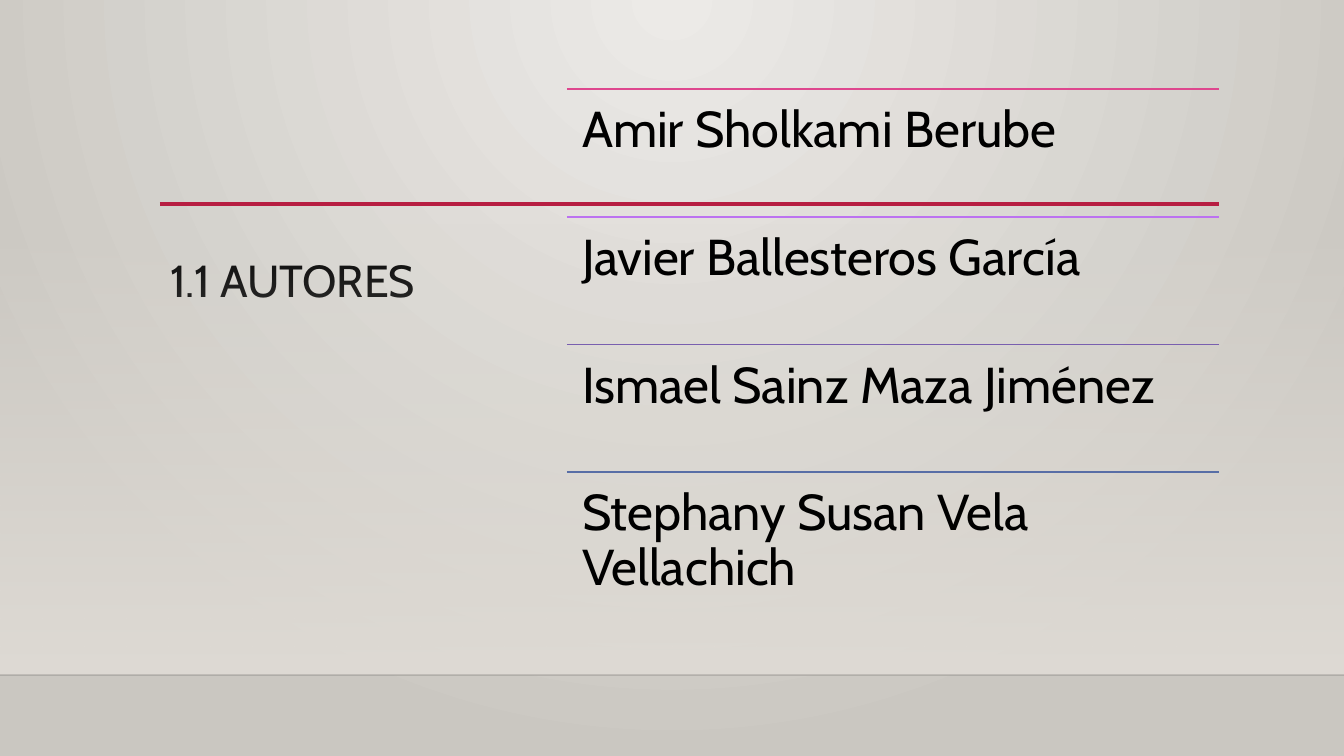
from lxml import etree
from pptx import Presentation
from pptx.dml.color import RGBColor
from pptx.enum.shapes import MSO_CONNECTOR, MSO_SHAPE
from pptx.enum.text import MSO_ANCHOR, MSO_AUTO_SIZE, PP_ALIGN
from pptx.oxml.ns import qn
from pptx.util import Pt

STRAIGHT = MSO_CONNECTOR.STRAIGHT
RECTANGLE = MSO_SHAPE.RECTANGLE
TOP = MSO_ANCHOR.TOP
NO_AUTOFIT = MSO_AUTO_SIZE.NONE
LEFT = PP_ALIGN.LEFT

EMU_PER_PX = 914400 / 100.8
WIDTH, HEIGHT = 1344, 756
FONT = "Cabin"
COLORS = {
    "text": "000000",
    "glow": "ECEAE7",
    "edge": "CAC7C1",
    "wall": "DFDBD5",
    "floor_line": "000001",
    "title_rule": "B71E42",
}
AUTHORS = [
    ("Amir Sholkami Berube", "DE478E"),
    ("Javier Ballesteros García", "BC72F0"),
    ("Ismael Sainz Maza Jiménez", "795FAF"),
    ("Stephany Susan Vela Vellachich", "586EA6"),
]


def px(length):
    return round(length * EMU_PER_PX)


def rgb(value):
    return RGBColor.from_string(value)


def set_alpha(color_parent, percent):
    color = color_parent.find(".//" + qn("a:srgbClr"))
    etree.SubElement(color, qn("a:alpha")).set("val", str(percent * 1000))


def set_gradient(fill, start, end):
    fill.gradient()
    for stop, color, position in zip(fill.gradient_stops, (start, end), (0, 1)):
        stop.color.rgb = rgb(color)
        stop.position = position


def add_rule(slide, left, top, width, color, weight):
    rule = slide.shapes.add_connector(
        STRAIGHT, px(left), px(top), px(left + width), px(top))
    rule.line.color.rgb = rgb(color)
    rule.line.width = Pt(weight)
    etree.SubElement(rule.element.spPr, qn("a:effectLst"))
    return rule


def write_text(shape, text, size, inset_x, inset_y):
    frame = shape.text_frame
    frame.word_wrap = True
    frame.auto_size = NO_AUTOFIT
    frame.vertical_anchor = TOP
    frame.margin_left = frame.margin_right = px(inset_x)
    frame.margin_top = frame.margin_bottom = px(inset_y)
    frame.text = text
    paragraph = frame.paragraphs[0]
    paragraph.alignment = LEFT
    paragraph.line_spacing = 0.9
    paragraph.space_before = Pt(0)
    paragraph.font.name = FONT
    paragraph.font.size = Pt(size)
    paragraph.font.color.rgb = rgb(COLORS["text"])


def paint_background(slide):
    set_gradient(slide.background.fill, COLORS["glow"], COLORS["edge"])
    gradient = slide.element.find(".//" + qn("p:bgPr") + "/" + qn("a:gradFill"))
    gradient.remove(gradient.find(qn("a:lin")))
    circle = etree.SubElement(gradient, qn("a:path"))
    circle.set("path", "circle")
    focus = etree.SubElement(circle, qn("a:fillToRect"))
    for side, percent in zip("ltrb", (43, 0, 43, 100)):
        focus.set(side, str(percent * 1000))


def add_wall(slide, left, top, width, height):
    wall = slide.shapes.add_shape(
        RECTANGLE, px(left), px(top), px(width), px(height))
    wall.shadow.inherit = False
    wall.line.fill.background()
    set_gradient(wall.fill, COLORS["wall"], COLORS["wall"])
    wall.fill.gradient_angle = 270
    set_alpha(wall.element.spPr.find(".//" + qn("a:gs")), 0)
    floor_line = add_rule(
        slide, left, top + height, width, COLORS["floor_line"], 1)
    set_alpha(floor_line.element.spPr, 20)


def place_title(slide, left, top, width, height):
    title = slide.shapes.title
    title.left, title.top = px(left), px(top)
    title.width, title.height = px(width), px(height)
    write_text(title, "1.1 AUTORES", 32, 10, 5)


def add_authors(slide, left, top, width, height):
    row_height = height / len(AUTHORS)
    for index, (name, color) in enumerate(AUTHORS):
        row_top = top + index * row_height
        add_rule(slide, left, row_top, width, color, 1.25)
        author = slide.shapes.add_textbox(
            px(left), px(row_top), px(width), px(row_height))
        write_text(author, name, 36, 15, 15)


def main():
    deck = Presentation()
    deck.slide_width, deck.slide_height = px(WIDTH), px(HEIGHT)
    slide = deck.slides.add_slide(deck.slide_layouts.get_by_name("Title Only"))
    paint_background(slide)
    add_wall(slide, 0, 223, WIDTH, 452)
    add_rule(slide, 160, 204, 1059, COLORS["title_rule"], 2.5)
    place_title(slide, 160, 254, 361, 294)
    add_authors(slide, 567, 89, 652, 511)
    deck.save("out.pptx")


if __name__ == "__main__":
    main()
